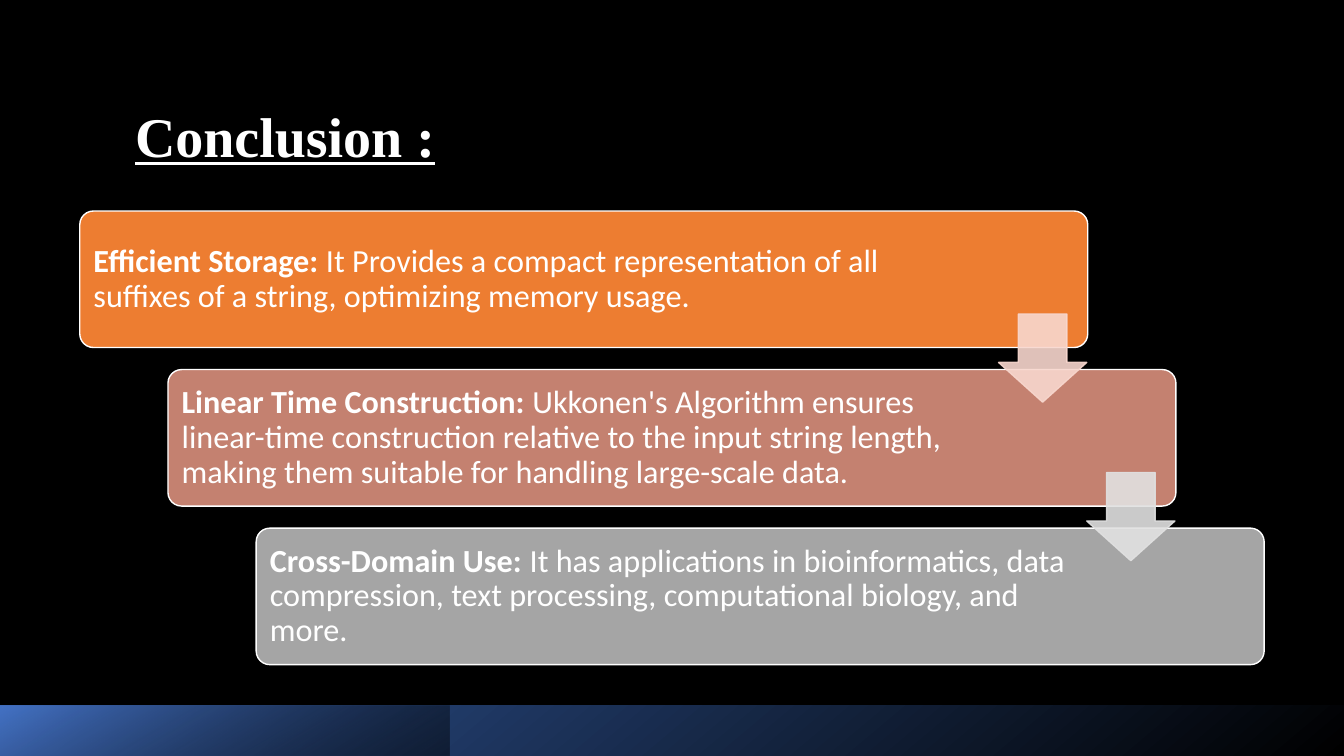
"""Build the conclusion slide: three staggered cards joined by down arrows."""
from lxml.etree import SubElement
from pptx import Presentation
from pptx.dml.color import RGBColor
from pptx.enum.shapes import MSO_SHAPE as Shape
from pptx.enum.text import MSO_ANCHOR as Anchor, MSO_AUTO_SIZE as AutoSize, PP_ALIGN as Align
from pptx.oxml.ns import qn
from pptx.util import Pt

EMU_PER_PX = 9525
COLOURS = {
    "black": "000000", "white": "FFFFFF", "navy": "2F5597", "blue": "4472C4",
    "orange": "ED7D31", "rose": "C48170", "grey": "A5A5A5",
    "pale_rose": "F8D7CE", "pale_grey": "E1E1E1",
}
CARDS = [
    ("orange", 820, "Efficient Storage:",
     " It Provides a compact representation of all suffixes of a string, optimizing memory usage."),
    ("rose", 783, "Linear Time Construction:",
     " Ukkonen's Algorithm ensures linear-time construction relative to the input string length, "
     "making them suitable for handling large-scale data."),
    ("grey", 783, "Cross-Domain Use:",
     " It has applications in bioinformatics, data compression, text processing, "
     "computational biology, and more."),
]
ARROWS = ["pale_rose", "pale_grey"]
CARD_LEFT, CARD_TOP, CARD_WIDTH, CARD_HEIGHT = 76, 201, 960, 130
STEP_X, STEP_Y = 84, 151
TEXT_INSET = 4
ARROW_DX, ARROW_DY, ARROW_SIZE = 875, 98, 84


def px(*lengths):
    """Turn pixel lengths into a list of EMU."""
    return [length * EMU_PER_PX for length in lengths]


def colour(name):
    """Look up a named colour."""
    return RGBColor.from_string(COLOURS[name])


def colour_elements(shape):
    """List the RGB colour elements of a shape's fill and line."""
    return list(shape._element.spPr.iter(qn("a:srgbClr")))


def set_opacity(element, percent):
    """Give one colour element an opacity."""
    SubElement(element, qn("a:alpha"), val=str(percent * 1000))


def add_shape(slide, kind, box, adjustments=()):
    """Add a preset shape without a shadow."""
    shape = slide.shapes.add_shape(kind, *px(*box))
    shape.shadow.inherit = False
    for index, value in enumerate(adjustments):
        shape.adjustments[index] = value
    return shape


def paint(shape, fill, line):
    """Set a solid fill and a one-point outline."""
    shape.fill.solid()
    shape.fill.fore_color.rgb = colour(fill)
    shape.line.color.rgb = colour(line)
    shape.line.width = Pt(1)


def add_footer_band(slide, width, end_colour, end_position, angle):
    """Add a footer rectangle that fades from black to a colour."""
    band = add_shape(slide, Shape.RECTANGLE, (0, 672, width, 48))
    band.line.fill.background()
    band.fill.gradient()
    band.fill.gradient_angle = angle
    start, end = band.fill.gradient_stops
    start.color.rgb, start.position = colour("black"), 0
    end.color.rgb, end.position = colour(end_colour), end_position
    return band


def format_paragraph(paragraph, font_name, size):
    """Apply the white left-aligned text style."""
    paragraph.alignment = Align.LEFT
    paragraph.line_spacing = 0.9
    paragraph.font.name = font_name
    paragraph.font.size = Pt(size)
    paragraph.font.color.rgb = colour("white")


def add_title(slide, text):
    """Fill and place the title placeholder."""
    title = slide.shapes.title
    title.left, title.top, title.width, title.height = px(119, 75, 1068, 115)
    title.text_frame.text = text
    title.text_frame.vertical_anchor = Anchor.MIDDLE
    title.text_frame.auto_size = AutoSize.NONE
    paragraph = title.text_frame.paragraphs[0]
    format_paragraph(paragraph, "Times New Roman", 40)
    paragraph.font.bold = True
    paragraph.font.underline = True


def add_card(slide, left, top, fill, text_width, heading, body):
    """Add a rounded card with a bold heading and running text."""
    card = add_shape(slide, Shape.ROUNDED_RECTANGLE, (left, top, CARD_WIDTH, CARD_HEIGHT), [0.1])
    paint(card, fill, "white")
    text_box = slide.shapes.add_textbox(
        *px(left + TEXT_INSET, top + TEXT_INSET, text_width, CARD_HEIGHT - 2 * TEXT_INSET))
    frame = text_box.text_frame
    frame.word_wrap = True
    frame.vertical_anchor = Anchor.MIDDLE
    frame.margin_left, frame.margin_top, frame.margin_right, frame.margin_bottom = px(9, 9, 9, 9)
    paragraph = frame.paragraphs[0]
    format_paragraph(paragraph, "Calibri", 23)
    for text, bold in ((heading, True), (body, False)):
        run = paragraph.add_run()
        run.text = text
        run.font.bold = bold


def add_arrow(slide, left, top, fill):
    """Add a slightly transparent down arrow."""
    arrow = add_shape(slide, Shape.DOWN_ARROW, (left, top, ARROW_SIZE, ARROW_SIZE), [0.55, 0.45])
    paint(arrow, fill, fill)
    for element in colour_elements(arrow):
        set_opacity(element, 90)


def main():
    """Build and save the slide."""
    presentation = Presentation()
    presentation.slide_width, presentation.slide_height = px(1280, 720)
    slide = presentation.slides.add_slide(presentation.slide_layouts[5])
    slide.background.fill.solid()
    slide.background.fill.fore_color.rgb = colour("black")
    add_title(slide, "Conclusion :")
    add_footer_band(slide, 1280, "navy", 1, 130)
    accent = add_footer_band(slide, 428, "blue", 0.99, 120)
    set_opacity(colour_elements(accent)[0], 46)
    for index, card in enumerate(CARDS):
        add_card(slide, CARD_LEFT + index * STEP_X, CARD_TOP + index * STEP_Y, *card)
    for index, fill in enumerate(ARROWS):
        add_arrow(slide, CARD_LEFT + ARROW_DX + index * STEP_X,
                  CARD_TOP + ARROW_DY + index * STEP_Y, fill)
    presentation.save("out.pptx")


if __name__ == "__main__":
    main()
